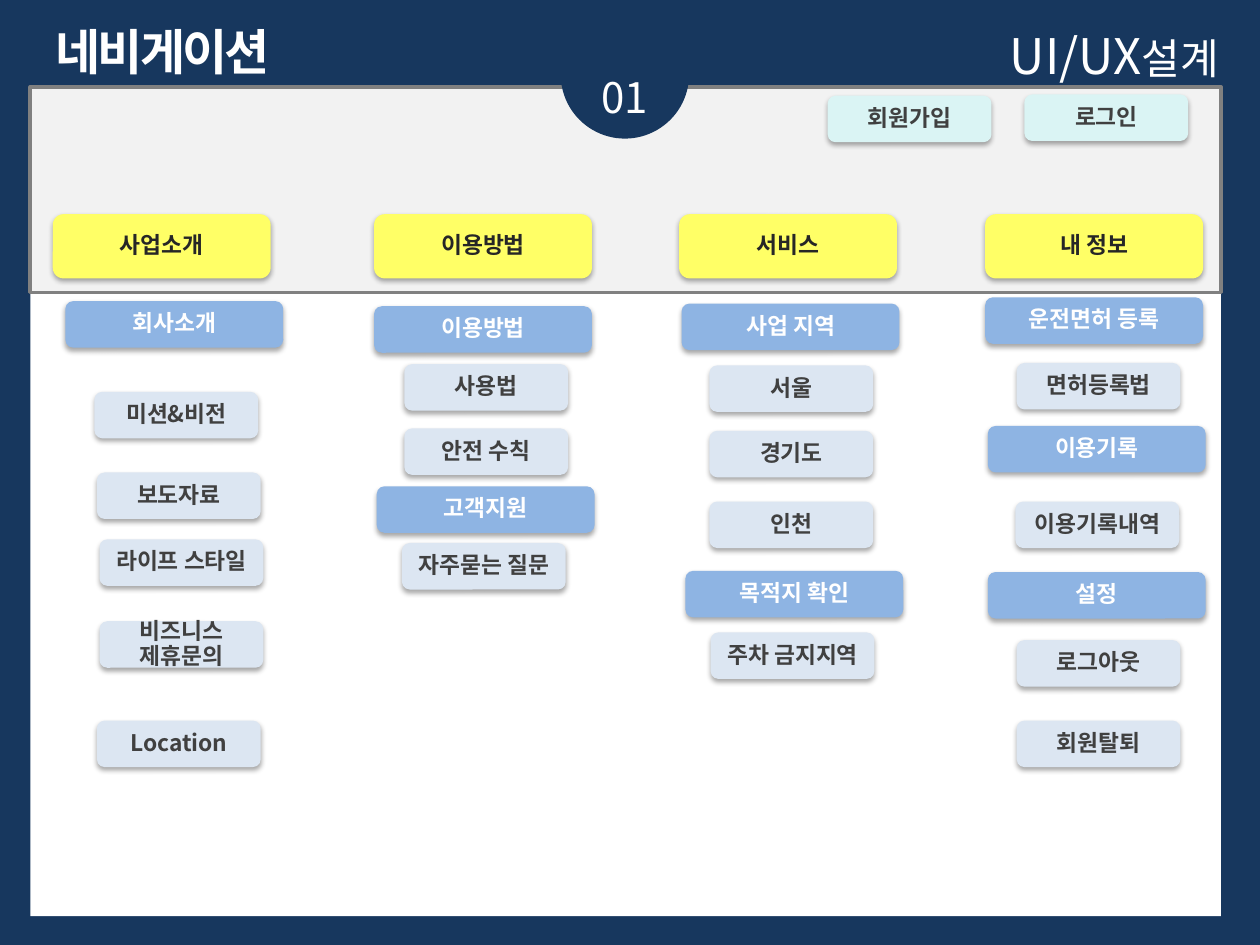
"""Builds the navigation map slide of a UI/UX design deck."""
from lxml.etree import SubElement
from pptx import Presentation
from pptx.dml.color import RGBColor
from pptx.enum.shapes import MSO_SHAPE
from pptx.enum.text import MSO_ANCHOR, MSO_AUTO_SIZE, PP_ALIGN
from pptx.oxml import parse_xml
from pptx.oxml.ns import nsdecls, qn
from pptx.util import Pt

COLORS = {
    "navy": "17375E", "white": "FFFFFF", "band": "F2F2F2", "border": "808080",
    "yellow": "FFFF66", "blue": "8EB4E3", "pale": "DCE6F2", "mint": "DAF4F4",
    "black": "262626", "gray": "404040",
}
BUTTONS = {
    "menu": (124.5, 36.7, "yellow", "black"),
    "group": (124.5, 26.6, "blue", "white"),
    "item": (93.6, 26.6, "pale", "gray"),
    "account": (93.6, 26.6, "mint", "gray"),
}
SHADOW = (
    f'<a:effectLst {nsdecls("a")}><a:outerShdw blurRad="{Pt(3.1)}" dist="{Pt(1.8)}" '
    'dir="5400000" algn="t" rotWithShape="0"><a:srgbClr val="000000">'
    '<a:alpha val="35000"/></a:srgbClr></a:outerShdw></a:effectLst>'
)


class NavigationSlide:
    """Holds the style and the current slide."""

    font = "Noto Sans CJK KR"

    def __init__(self, deck):
        self.page = deck.slides.add_slide(deck.slide_layouts[5])
        self.paint(self.page.background.fill, "navy")

    def paint(self, fill, color):
        fill.solid()
        fill.fore_color.rgb = RGBColor.from_string(COLORS[color])

    def shape(self, kind, place, color, border=None):
        box = self.page.shapes.add_shape(kind, *map(Pt, place))
        box.shadow.inherit = False
        self.paint(box.fill, color)
        if border:
            self.paint(box.line.fill, border)
            box.line.width = Pt(2)
        else:
            box.line.fill.background()
        return box

    def add_span(self, para, text, size, color, bold=False, spacing=None):
        span = para.add_run()
        span.text = text
        span.font.name = self.font
        span.font.size = Pt(size)
        span.font.bold = bold
        self.paint(span.font.fill, color)
        properties = span._r.get_or_add_rPr()
        SubElement(properties, qn("a:ea")).set("typeface", self.font)
        if spacing:
            properties.set("spc", str(int(spacing * 100)))

    def title(self, text, place):
        box = self.page.shapes.title
        box.left, box.top, box.width, box.height = map(Pt, place)
        frame = box.text_frame
        frame.auto_size = MSO_AUTO_SIZE.NONE
        frame.word_wrap = False
        frame.vertical_anchor = MSO_ANCHOR.TOP
        para = frame.paragraphs[0]
        para.alignment = PP_ALIGN.CENTER
        self.add_span(para, text, 28, "white", True, -1.5)

    def label(self, spans, place, align):
        frame = self.page.shapes.add_textbox(*map(Pt, place)).text_frame
        frame.word_wrap = True
        para = frame.paragraphs[0]
        para.alignment = align
        for text, size in spans:
            self.add_span(para, text, size, "white")

    def button(self, kind, left, top, text):
        width, height, color, ink = BUTTONS[kind]
        box = self.shape(MSO_SHAPE.ROUNDED_RECTANGLE, (left, top, width, height), color)
        properties = box._element.spPr
        properties.replace(properties.find(qn("a:effectLst")), parse_xml(SHADOW))
        frame = box.text_frame
        frame.word_wrap = True
        frame.vertical_anchor = MSO_ANCHOR.MIDDLE
        frame.margin_left = frame.margin_right = Pt(5)
        frame.margin_top = frame.margin_bottom = Pt(3.6)
        para = frame.paragraphs[0]
        para.alignment = PP_ALIGN.CENTER
        para.line_spacing = 0.9
        para.space_after = Pt(4.5)
        self.add_span(para, text, 13, ink, True)


deck = Presentation()
deck.slide_width, deck.slide_height = Pt(720), Pt(540)
slide = NavigationSlide(deck)

slide.title("네비게이션", (18.7, 8.6, 148.3, 41))
slide.shape(MSO_SHAPE.RECTANGLE, (17.3, 52.6, 680.4, 470.9), "white")
slide.shape(MSO_SHAPE.RECTANGLE, (17.3, 49.7, 680.4, 117.4), "band", "border")
slide.shape(MSO_SHAPE.OVAL, (320.4, 5.8, 73.4, 73.4), "navy")
slide.label([("01", 24)], (314.6, 37.4, 85, 36), PP_ALIGN.CENTER)
slide.label([("UI/UX", 28), ("설계", 24)], (419.8, 10.8, 283.7, 41), PP_ALIGN.RIGHT)

buttons = {
    "account": [(473, 54.7, "회원가입"), (585.4, 54, "로그인")],
    "menu": [
        (30.2, 122.4, "사업소개"), (213.8, 122.4, "이용방법"),
        (388.1, 122.4, "서비스"), (563, 122.4, "내 정보"),
    ],
    "group": [
        (37.4, 172.1, "회사소개"),
        (213.8, 175, "이용방법"), (215.3, 277.9, "고객지원"),
        (389.5, 173.5, "사업 지역"), (391.7, 326.2, "목적지 확인"),
        (563, 169.9, "운전면허 등록"), (564.5, 243.4, "이용기록"), (564.5, 326.9, "설정"),
    ],
    "item": [
        (54, 223.9, "미션&비전"), (55.4, 270, "보도자료"), (56.9, 308.2, "라이프 스타일"),
        (56.9, 355, "비즈니스 제휴문의"), (55.4, 411.8, "Location"),
        (231.1, 208.1, "사용법"), (231.1, 244.8, "안전 수칙"), (229.7, 310.3, "자주묻는 질문"),
        (405.4, 208.8, "서울"), (405.4, 246.2, "경기도"), (405.4, 286.6, "인천"),
        (406.1, 361.4, "주차 금지지역"),
        (581, 207.4, "면허등록법"), (580.3, 286.6, "이용기록내역"),
        (581, 365.8, "로그아웃"), (581, 411.8, "회원탈퇴"),
    ],
}
for kind, entries in buttons.items():
    for left, top, text in entries:
        slide.button(kind, left, top, text)

deck.save("out.pptx")
